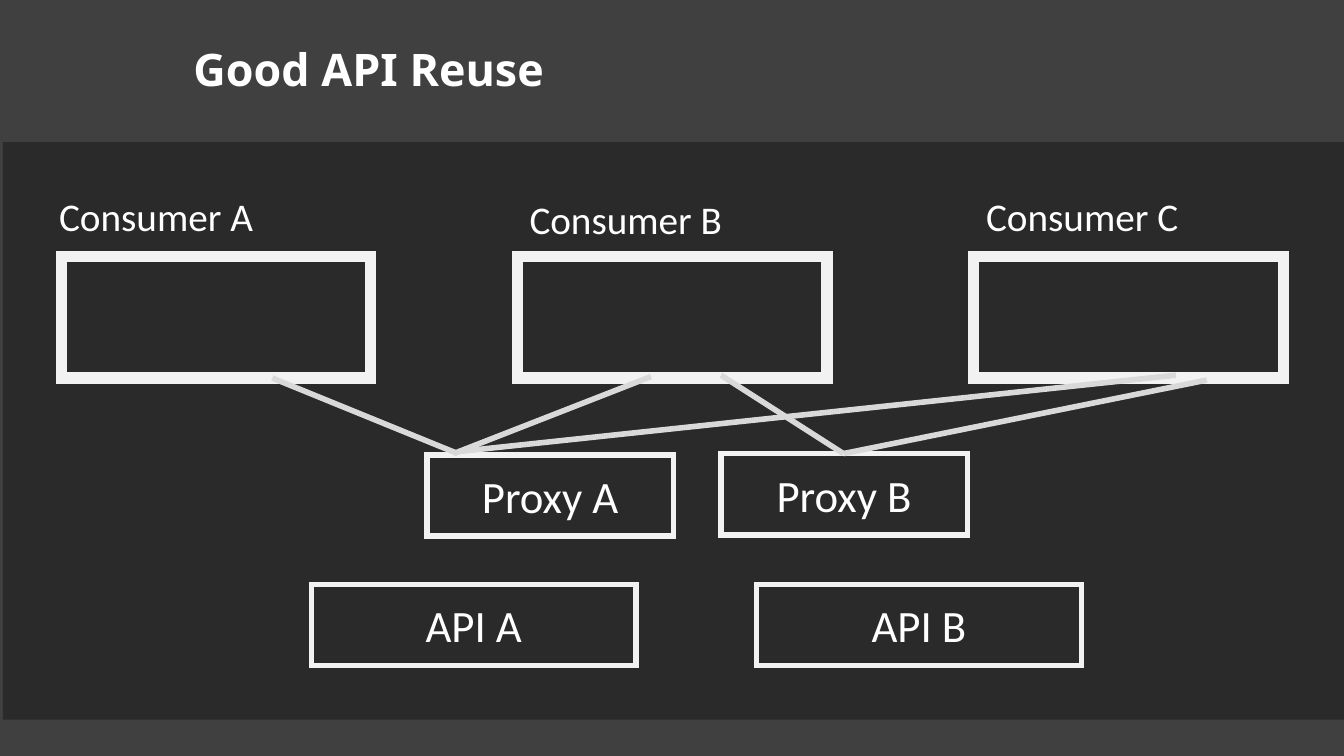
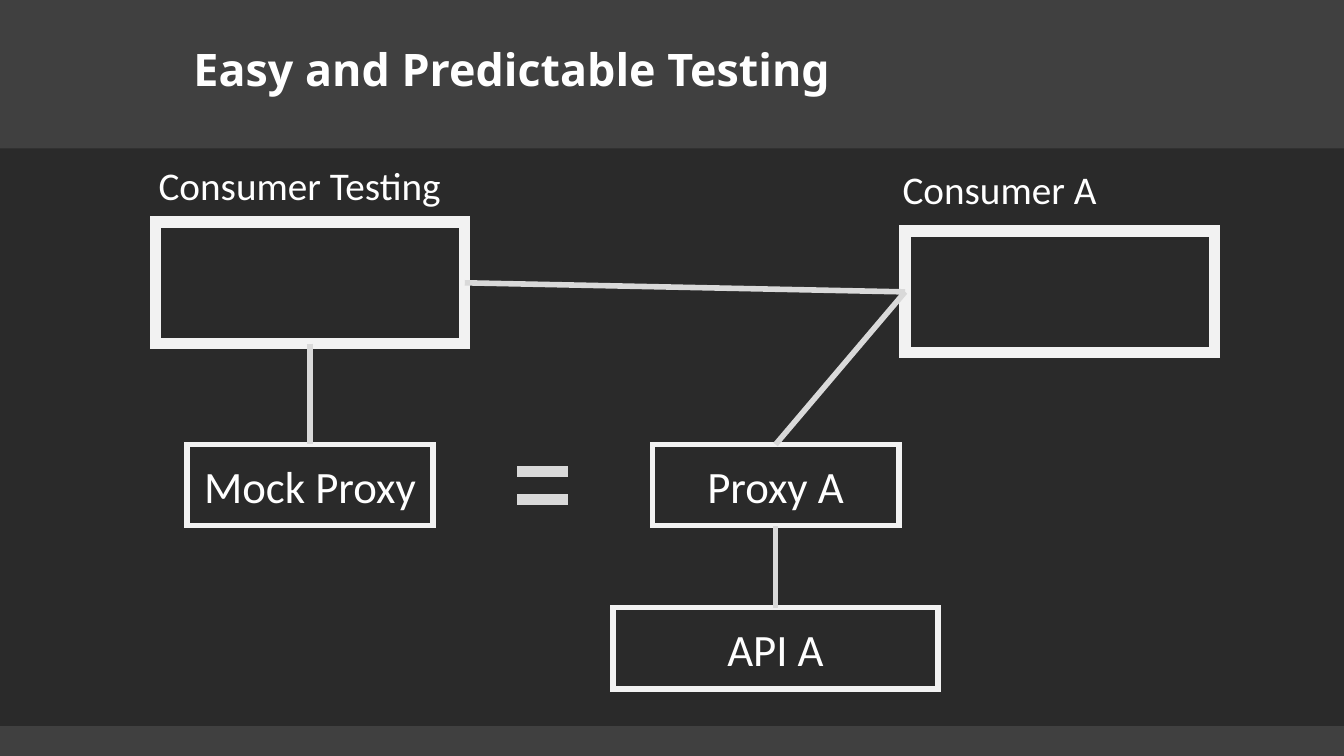
from lxml.etree import SubElement
from pptx import Presentation
from pptx.dml.color import RGBColor
from pptx.enum.shapes import MSO_CONNECTOR as Connector, MSO_SHAPE as Shape
from pptx.enum.text import MSO_ANCHOR as Anchor, PP_ALIGN as Align
from pptx.oxml.ns import qn
from pptx.util import Pt

WIDTH, HEIGHT = 960, 540
TOP, LEFT, BOTTOM, RIGHT = range(4)  # connection sites of a rectangle
CONSUMER, PROXY, API = (221, 87), (176, 58), (232, 58)


def color(code):
    """Turn a hex string into a colour."""
    return RGBColor.from_string(code)


class Diagram:
    """Holds the shared style and the slide being drawn."""

    BACKGROUND, PANEL, TEXT = "404040", "000000", "FFFFFF"
    BORDER, LINK = "F2F2F2", "D9D9D9"
    TITLE_FONT, BODY_FONT = "Noto Sans", "Calibri"
    THICK, THIN = 8, 4

    def __init__(self):
        """Start a wide deck with a dark background."""
        self.deck = Presentation()
        self.deck.slide_width, self.deck.slide_height = Pt(WIDTH), Pt(HEIGHT)
        fill = self.deck.slide_master.background.fill
        fill.solid()
        fill.fore_color.rgb = color(self.BACKGROUND)
        self.page = None

    def set_text(self, shape, text, size, font, align, bold=False):
        """Put one styled line of text in a shape."""
        shape.text_frame.text = text
        para = shape.text_frame.paragraphs[0]
        para.alignment = align
        for span in para.runs:
            span.font.name, span.font.size, span.font.bold = font, Pt(size), bold
            span.font.color.rgb = color(self.TEXT)

    def start(self, title, panel_left, panel_top):
        """Add a slide with its title and translucent panel."""
        self.page = self.deck.slides.add_slide(self.deck.slide_layouts[5])
        heading = self.page.shapes.title
        heading.left, heading.top = Pt(131), Pt(26)
        heading.width, heading.height = Pt(815), Pt(46)
        heading.text_frame.vertical_anchor = Anchor.MIDDLE
        self.set_text(heading, title, 32, self.TITLE_FONT, Align.LEFT, True)
        panel = self.rectangle(panel_left, panel_top, WIDTH - panel_left, 412.5)
        panel.fill.solid()
        panel.fill.fore_color.rgb = color(self.PANEL)
        panel.line.fill.background()
        tint = panel._element.spPr.find(".//" + qn("a:srgbClr"))
        SubElement(tint, qn("a:alpha")).set("val", "34000")

    def rectangle(self, left, top, width, height):
        """Add a rectangle without shadow."""
        box = self.page.shapes.add_shape(
            Shape.RECTANGLE, Pt(left), Pt(top), Pt(width), Pt(height))
        box.shadow.inherit = False
        return box

    def box(self, left, top, size, text=""):
        """Add an outlined box; an unlabelled one has a thick border."""
        box = self.rectangle(left, top, *size)
        box.fill.background()
        box.line.color.rgb = color(self.BORDER)
        box.line.width = Pt(self.THIN if text else self.THICK)
        SubElement(box._element.spPr.find(qn("a:ln")), qn("a:miter")).set("lim", "800000")
        if text:
            box.text_frame.vertical_anchor = Anchor.MIDDLE
            self.set_text(box, text, 32, self.BODY_FONT, Align.CENTER)
        return box

    def label(self, left, top, width, text):
        """Add a caption above a consumer box."""
        caption = self.page.shapes.add_textbox(Pt(left), Pt(top), Pt(width), Pt(41))
        caption.text_frame.word_wrap = False
        self.set_text(caption, text, 28, self.BODY_FONT, Align.CENTER)

    def line(self, start, end, weight=THIN):
        """Draw a straight line between two points."""
        points = [Pt(value) for value in (*start, *end)]
        line = self.page.shapes.add_connector(Connector.STRAIGHT, *points)
        line.line.color.rgb = color(self.LINK)
        line.line.width = Pt(weight)
        SubElement(line._element.spPr, qn("a:effectLst"))
        return line

    def link(self, source, source_side, target, target_side):
        """Join two boxes at the given sides."""
        line = self.line((0, 0), (0, 0))
        line.begin_connect(source, source_side)
        line.end_connect(target, target_side)


def draw_reuse(diagram):
    """Three consumers share two proxies."""
    diagram.start("Good API Reuse", 2, 101.5)
    captions = (("A", 34, 134), ("B", 369.5, 136), ("C", 695.5, 134))
    for index, (name, left, top) in enumerate(captions):
        diagram.box(44 + 325.8 * index, 183, CONSUMER)
        diagram.label(left, top, 155, f"Consumer {name}")
    diagram.box(222.5, 417.5, API, "API A")
    diagram.box(540.5, 417.5, API, "API B")
    diagram.box(305, 325, PROXY, "Proxy A")
    diagram.box(515, 324, PROXY, "Proxy B")
    for consumer, proxy in (
        ((194.5, 270), (327, 324)),
        ((465, 269), (324, 324)),
        ((840, 268), (328, 322.5)),
        ((862, 271.5), (602.5, 324)),
        ((515, 268), (602.5, 324)),
    ):
        diagram.line(consumer, proxy)


def draw_testing(diagram):
    """A mock proxy stands in for the real one."""
    diagram.start("Easy and Predictable Testing", 0, 106)
    consumer = diagram.box(646.5, 165, CONSUMER)
    diagram.label(636.5, 114.5, 155, "Consumer A")
    testing = diagram.box(111, 158.5, CONSUMER)
    diagram.label(105, 111.5, 218, "Consumer Testing")
    api = diagram.box(438, 434, API, "API A")
    proxy = diagram.box(466, 317.5, PROXY, "Proxy A")
    mock = diagram.box(133.5, 317.5, PROXY, "Mock Proxy")
    diagram.link(consumer, LEFT, proxy, TOP)
    diagram.link(api, TOP, proxy, BOTTOM)
    diagram.link(testing, BOTTOM, mock, TOP)
    diagram.link(testing, RIGHT, consumer, LEFT)
    for height in (337, 357):
        diagram.line((369.5, height), (406, height), diagram.THICK)


diagram = Diagram()
draw_reuse(diagram)
draw_testing(diagram)
diagram.deck.save("out.pptx")
